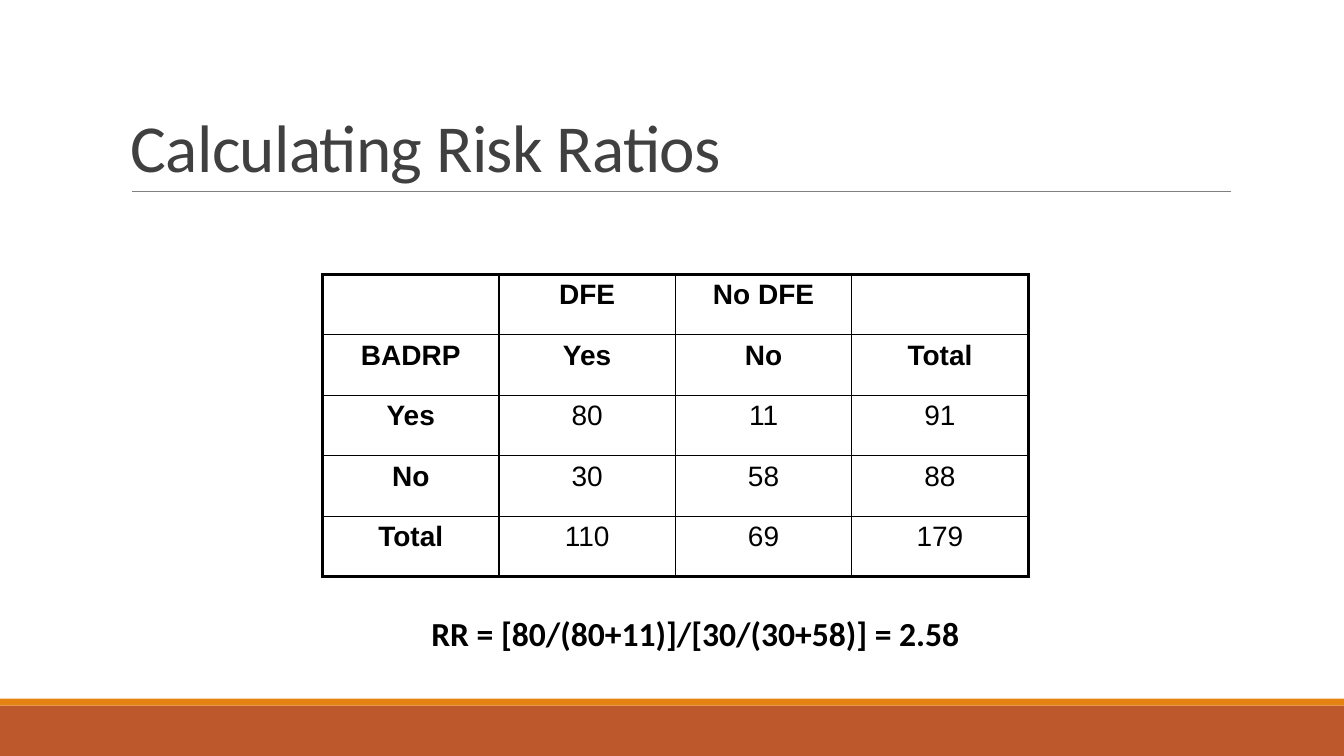
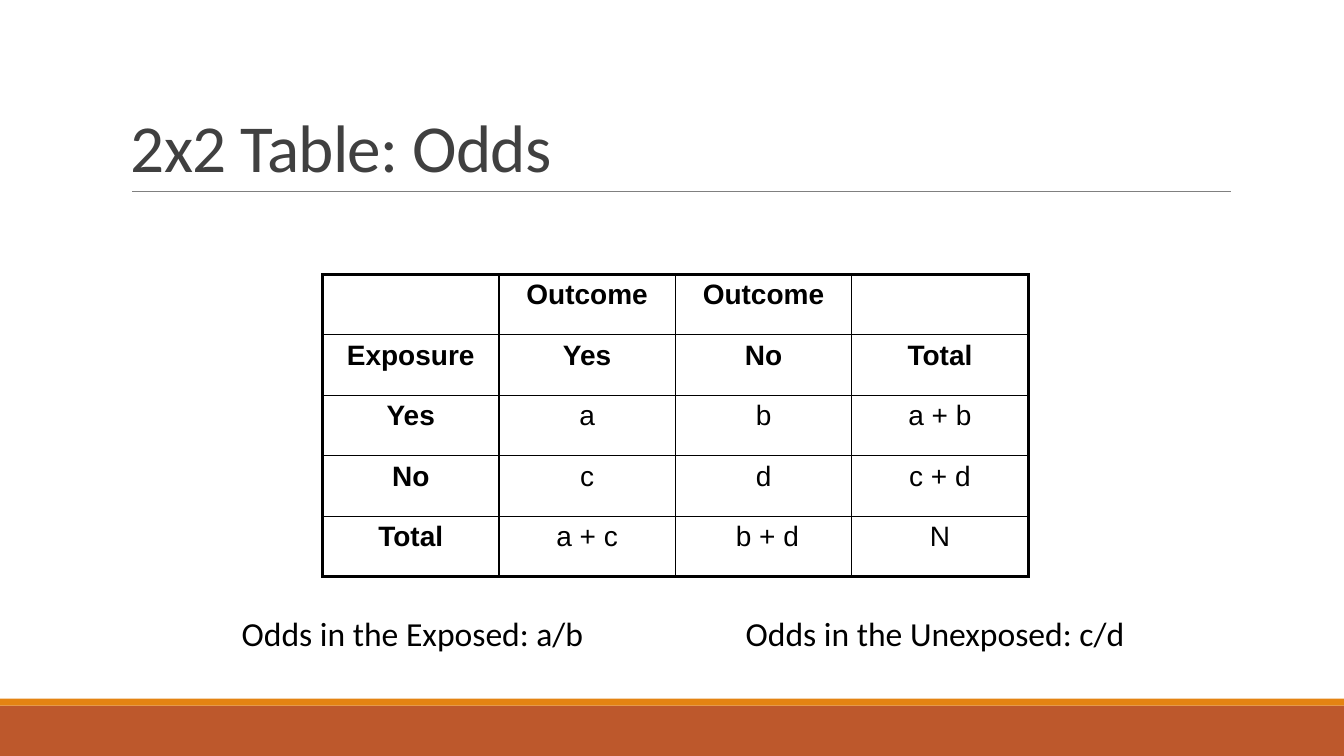
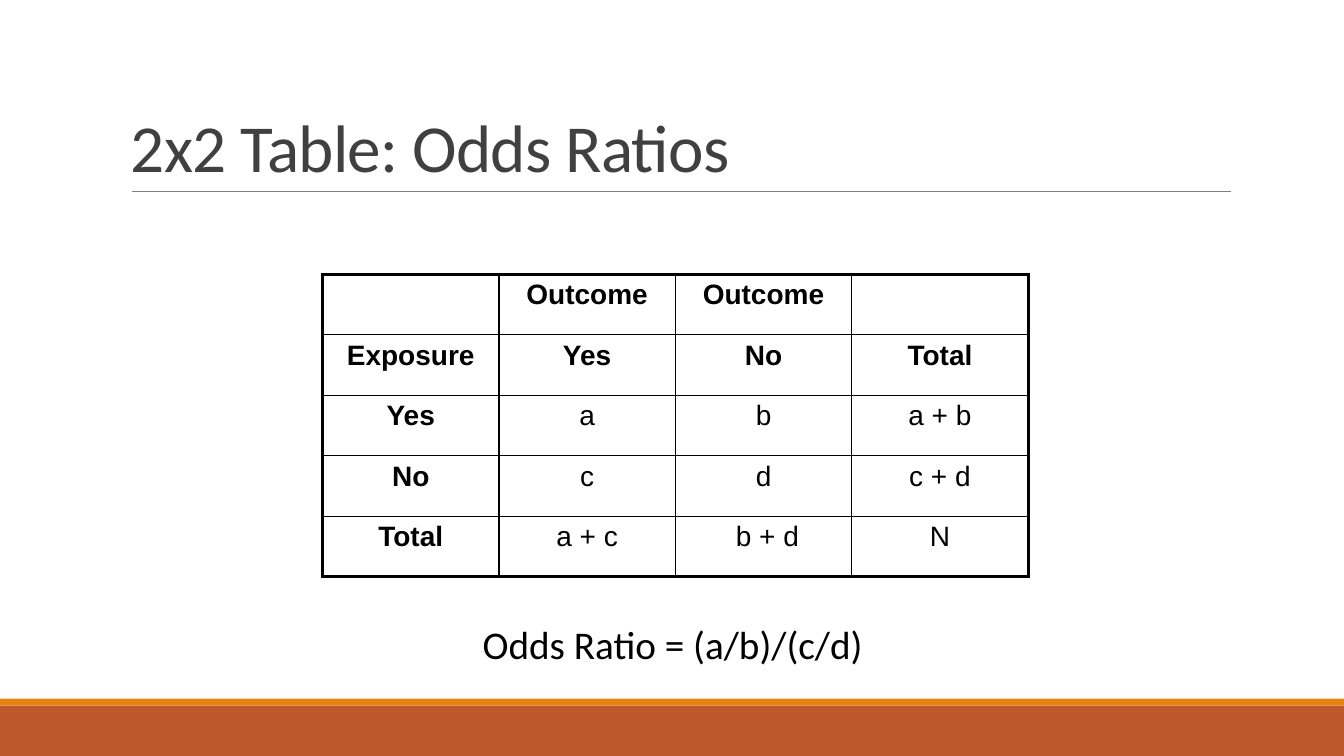
from lxml.etree import SubElement
from pptx import Presentation
from pptx.dml.color import RGBColor
from pptx.enum.shapes import MSO_CONNECTOR as Connector, MSO_SHAPE as Shape
from pptx.enum.text import MSO_ANCHOR as Anchor, PP_ALIGN as Align
from pptx.oxml.ns import qn
from pptx.util import Pt

COLORS = {
    "band": "BD582C",
    "accent": "E48312",
    "rule": "808080",
    "title": "404040",
    "ink": "000000",
}
PAGE_WIDTH, PAGE_HEIGHT = 960, 540
COLUMN_WIDTH, ROW_HEIGHT = 126, 43.2
THIN, THICK = 1, 2.25

RISK_ROWS = [
    ["", "DFE", "No DFE", ""],
    ["BADRP", "Yes", "No", "Total"],
    ["Yes", "80", "11", "91"],
    ["No", "30", "58", "88"],
    ["Total", "110", "69", "179"],
]
ODDS_ROWS = [
    ["", "Outcome", "Outcome", ""],
    ["Exposure", "Yes", "No", "Total"],
    ["Yes", "a", "b", "a + b"],
    ["No", "c", "d", "c + d"],
    ["Total", "a + c", " b + d", "N"],
]


def rgb(name):
    return RGBColor.from_string(COLORS[name])


class Builder:
    """Holds the deck style and the current page, and draws each kind of element."""

    def __init__(self):
        self.deck = Presentation()
        self.deck.slide_width = Pt(PAGE_WIDTH)
        self.deck.slide_height = Pt(PAGE_HEIGHT)
        self.page = None

    def start_page(self, title):
        self.page = self.deck.slides.add_slide(self.deck.slide_layouts[6])
        self.band(504, 36, "band")
        self.band(499, 5, "accent")
        self.rule(94.5, 879, 136.8)
        self.title(title)

    def band(self, top, height, color):
        band = self.page.shapes.add_shape(
            Shape.RECTANGLE, 0, Pt(top), Pt(PAGE_WIDTH), Pt(height))
        band.shadow.inherit = False
        band.fill.solid()
        band.fill.fore_color.rgb = rgb(color)
        band.line.fill.background()

    def rule(self, left, right, top):
        rule = self.page.shapes.add_connector(
            Connector.STRAIGHT, Pt(left), Pt(top), Pt(right), Pt(top))
        rule.line.color.rgb = rgb("rule")
        rule.line.width = Pt(0.5)
        SubElement(rule._element.spPr, qn("a:effectLst"))

    def style(self, para, size, font="Calibri", color="ink", bold=False):
        for span in para.runs:
            span.font.name = font
            span.font.size = Pt(size)
            span.font.bold = bold
            span.font.color.rgb = rgb(color)

    def text(self, words, left, top, width, height, size, **style):
        box = self.page.shapes.add_textbox(Pt(left), Pt(top), Pt(width), Pt(height))
        box.text_frame.word_wrap = True
        box.text_frame.text = words
        para = box.text_frame.paragraphs[0]
        self.style(para, size, **style)
        return box.text_frame, para

    def title(self, words):
        frame, para = self.text(words, 86.4, 22.3, 792, 114.5, 48, color="title")
        frame.vertical_anchor = Anchor.BOTTOM
        para.line_spacing = 0.85
        for span in para.runs:
            span.font._element.set("spc", "-50")

    def formula(self, words, left, top, width, size=24, bold=False, tab_stop=None):
        para = self.text(words, left, top, width, size * 1.5, size, bold=bold)[1]
        if tab_stop:
            stops = SubElement(para._p.get_or_add_pPr(), qn("a:tabLst"))
            SubElement(stops, qn("a:tab"), pos=str(Pt(tab_stop)), algn="l")

    def borders(self, cell, **widths):
        properties = cell._tc.get_or_add_tcPr()
        for side, width in widths.items():
            line = SubElement(properties, qn("a:ln" + side), w=str(Pt(width)))
            fill = SubElement(line, qn("a:solidFill"))
            SubElement(fill, qn("a:srgbClr"), val=COLORS["ink"])

    def table(self, rows):
        row_count, column_count = len(rows), len(rows[0])
        table = self.page.shapes.add_table(
            row_count, column_count, Pt(230.4), Pt(196),
            Pt(column_count * COLUMN_WIDTH), Pt(row_count * ROW_HEIGHT)).table
        table.first_row = table.horz_banding = False
        for column in table.columns:
            column.width = Pt(COLUMN_WIDTH)
        for y, row in enumerate(rows):
            table.rows[y].height = Pt(ROW_HEIGHT)
            for x, words in enumerate(row):
                cell = table.cell(y, x)
                cell.text_frame.text = words
                para = cell.text_frame.paragraphs[0]
                para.alignment = Align.CENTER
                self.style(para, 20, "Arial", bold=y < 2 or x == 0)
                self.borders(
                    cell,
                    L=THICK if x == 0 else THIN,
                    R=THICK if x == column_count - 1 else THIN,
                    T=THICK if y == 0 else THIN,
                    B=THICK if y == row_count - 1 else THIN)
                cell.fill.background()


def main():
    builder = Builder()

    builder.start_page("Calculating Risk Ratios")
    builder.table(RISK_ROWS)
    builder.formula("RR = [80/(80+11)]/[30/(30+58)] = 2.58", 301, 434, 396, bold=True)

    builder.start_page("2x2 Table: Odds")
    builder.table(ODDS_ROWS)
    builder.formula("Odds in the Exposed: a/b\tOdds in the Unexposed: c/d",
                    165.6, 434, 651, tab_stop=360)

    builder.start_page("2x2 Table: Odds Ratios")
    builder.table(ODDS_ROWS)
    builder.formula("Odds Ratio = (a/b)/(c/d)", 337.7, 439.2, 290, size=28)

    builder.deck.save("out.pptx")


if __name__ == "__main__":
    main()
